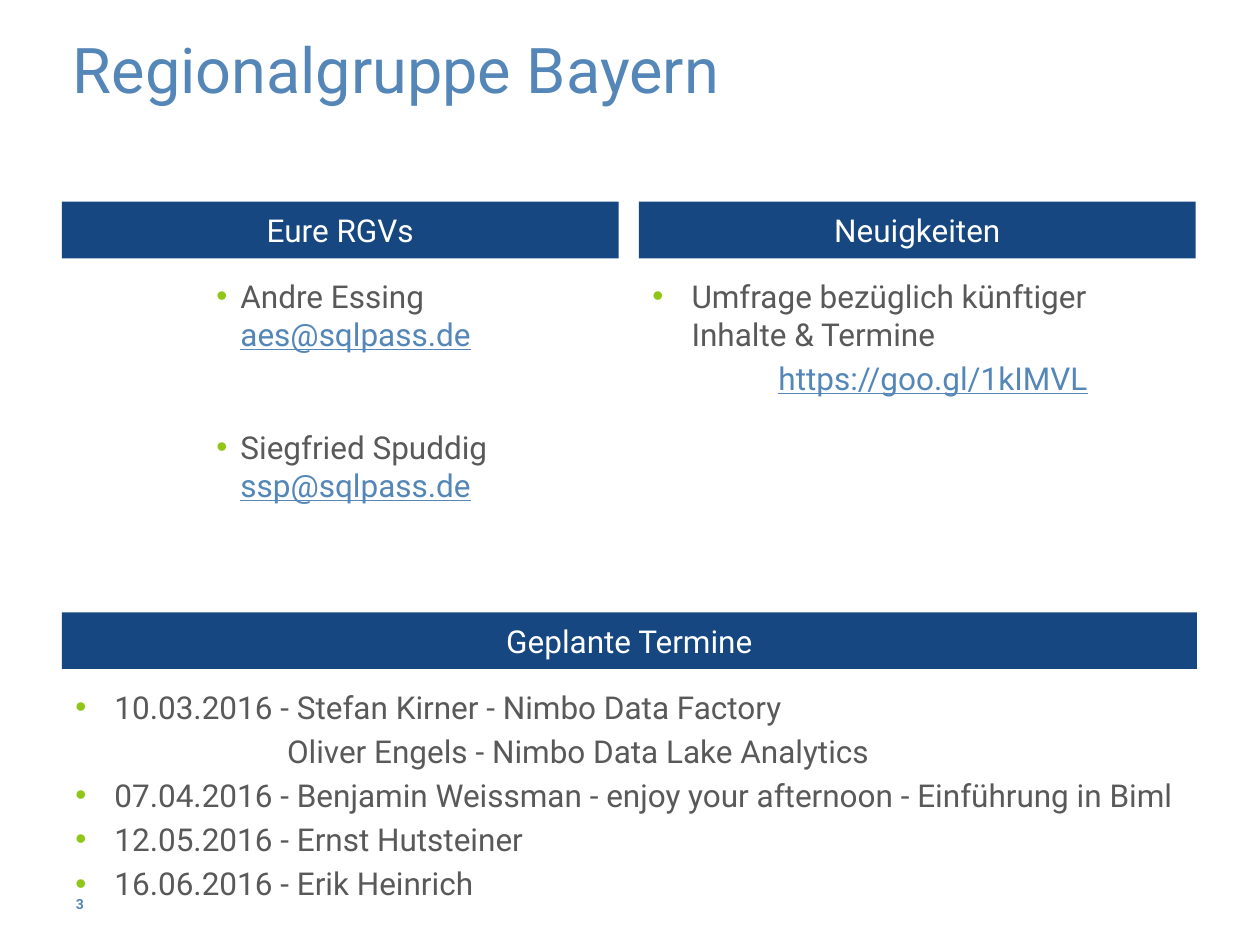
"""Builds the slide on the regional group with its contacts, news and dates."""
import pptx
import pptx.dml.color
import pptx.enum.shapes
import pptx.enum.text
import pptx.oxml.ns
import pptx.util
from lxml import etree

Inches = pptx.util.Inches
Pt = pptx.util.Pt
CENTER = pptx.enum.text.PP_ALIGN.CENTER
MIDDLE = pptx.enum.text.MSO_ANCHOR.MIDDLE
BLUE, NAVY, GREEN, GRAY, WHITE = "5486B8", "164781", "90C618", "595959", "FFFFFF"
BODY = {"name": "Roboto", "size": Pt(18)}
LINK = {"underline": True}


def color(value):
    return pptx.dml.color.RGBColor.from_string(value)


def set_values(target, values):
    for name, value in values.items():
        setattr(target, name, value)


def add_span(para, text, ink, font):
    span = para.add_run()
    span.text = text
    set_values(span.font, {**BODY, **font})
    span.font.color.rgb = color(ink)


def add_box(page, left, top, width, height, **frame):
    box = page.shapes.add_textbox(*map(Inches, (left, top, width, height)))
    set_values(box.text_frame, {"word_wrap": True, **frame})
    return box.text_frame


def indent(para, left, hanging=0):
    properties = para._p.get_or_add_pPr()
    properties.set("marL", str(Inches(left)))
    properties.set("indent", str(-Inches(hanging)))
    return properties


def add_bullet(para, hanging):
    properties = indent(para, hanging, hanging)
    tint = etree.SubElement(properties, pptx.oxml.ns.qn("a:buClr"))
    etree.SubElement(tint, pptx.oxml.ns.qn("a:srgbClr"), val=GREEN)
    etree.SubElement(properties, pptx.oxml.ns.qn("a:buFont"), typeface="Arial")
    etree.SubElement(properties, pptx.oxml.ns.qn("a:buChar"), char="•")


def next_para(frame, gap=3.6):
    if not frame.paragraphs[0].runs:
        return frame.paragraphs[0]
    para = frame.add_paragraph()
    para.space_before = Pt(gap)
    return para


def add_item(frame, text, hanging=0.31, gap=3.6):
    para = next_para(frame, gap)
    add_bullet(para, hanging)
    add_span(para, text, GRAY, {})
    return para


def add_continuation(frame, text, left, ink=GRAY, font=None):
    para = next_para(frame)
    indent(para, left)
    add_span(para, text, ink, font or {})


def add_heading(page, text, left, top, width):
    bar = page.shapes.add_shape(
        pptx.enum.shapes.MSO_SHAPE.RECTANGLE,
        Inches(left), Inches(top), Inches(width), Inches(0.45))
    bar.shadow.inherit = False
    bar.fill.solid()
    bar.fill.fore_color.rgb = color(NAVY)
    bar.line.fill.background()
    bar.text_frame.vertical_anchor = MIDDLE
    para = bar.text_frame.paragraphs[0]
    para.alignment = CENTER
    add_span(para, text, WHITE, {})


def add_title(page, text):
    para = add_box(page, 0.48, 0.31, 9, 0.75).paragraphs[0]
    para.line_spacing = Pt(35)
    add_span(para, text, BLUE, {"size": Pt(36)})


def add_contacts(page):
    frame = add_box(page, 1.62, 2.15, 3.3, 2.43)
    for name, address in (("Andre Essing", "aes@sqlpass.de"),
                          ("Siegfried Spuddig", "ssp@sqlpass.de")):
        para = add_item(frame, name, hanging=0.19, gap=43)
        para.add_line_break()
        add_span(para, address, BLUE, LINK)


def add_news(page):
    frame = add_box(page, 5.08, 2.15, 4.42, 2.6)
    add_item(frame, "Umfrage bezüglich künftiger Inhalte & Termine")
    add_continuation(frame, "https://goo.gl/1kIMVL", 1, BLUE, LINK)


def add_dates(page):
    frame = add_box(page, 0.5, 5.41, 9, 1.71)
    add_item(frame, "10.03.2016 - Stefan Kirner - Nimbo Data Factory")
    add_continuation(frame, "Oliver Engels - Nimbo Data Lake Analytics", 1.68)
    for text in (
            "07.04.2016 - Benjamin Weissman - enjoy your afternoon - Einführung in Biml",
            "12.05.2016 - Ernst Hutsteiner",
            "16.06.2016 - Erik Heinrich"):
        add_item(frame, text)


def add_page_number(page, number):
    para = add_box(page, 0.48, 7.11, 0.31, 0.4, margin_top=0).paragraphs[0]
    para.alignment = CENTER
    add_span(para, number, BLUE, {"size": Pt(8), "bold": True})


def main():
    deck = pptx.Presentation()
    deck.slide_width, deck.slide_height = Inches(10), Inches(7.5)
    page = deck.slides.add_slide(deck.slide_layouts[6])
    add_title(page, "Regionalgruppe Bayern")
    add_heading(page, "Eure RGVs", 0.49, 1.6, 4.42)
    add_heading(page, "Neuigkeiten", 5.07, 1.6, 4.42)
    add_heading(page, "Geplante Termine", 0.49, 4.86, 9.01)
    add_contacts(page)
    add_news(page)
    add_dates(page)
    add_page_number(page, "3")
    deck.save("out.pptx")


if __name__ == "__main__":
    main()
